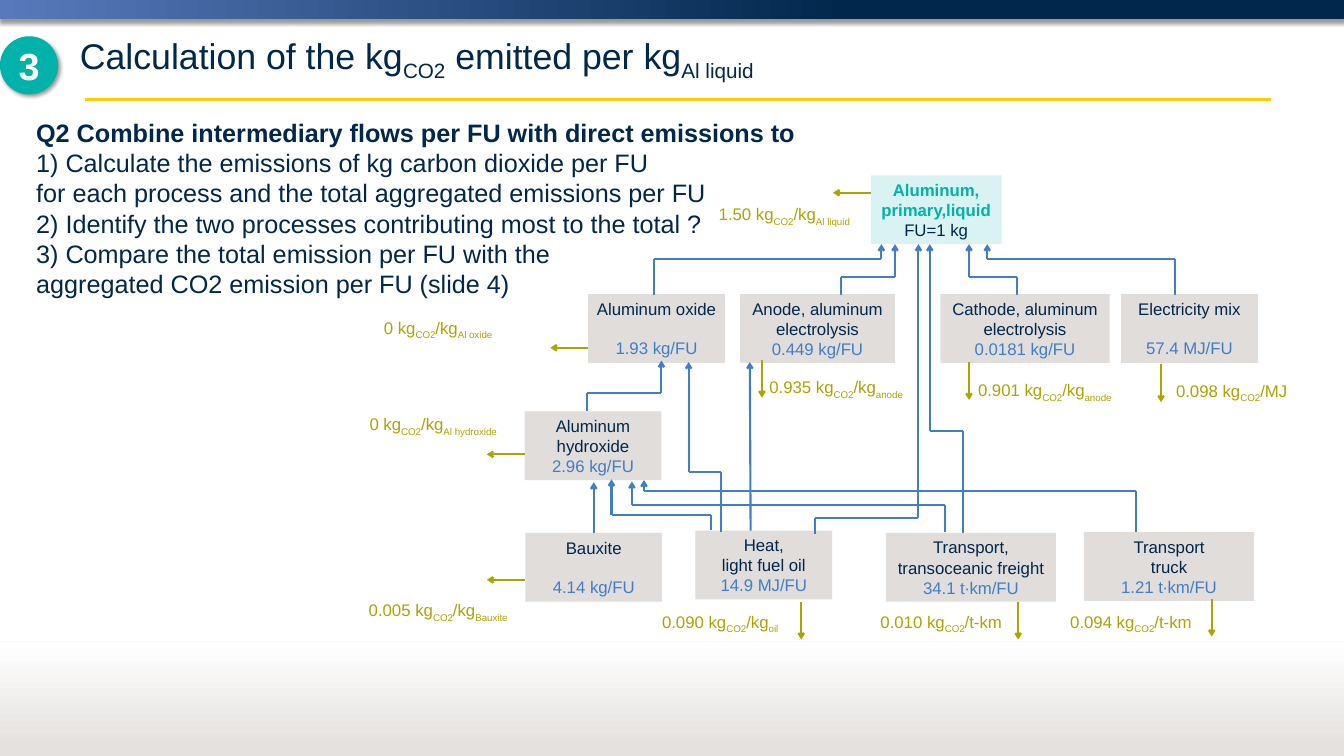
from lxml.etree import SubElement
from pptx import Presentation
from pptx.dml.color import RGBColor
from pptx.enum.shapes import MSO_CONNECTOR, MSO_SHAPE
from pptx.enum.text import MSO_ANCHOR, PP_ALIGN
from pptx.oxml.ns import qn
from pptx.util import Inches, Pt

NAVY, BLUE, TEAL, OLIVE = "00274C", "407EC9", "00B2A9", "ADA400"
GOLD, STONE, PALE, WHITE = "FFCB05", "B0A8A2", "E4E1DF", "FFFFFF"
CELL = Inches(0.1)  # every position below counts columns and rows of this grid
COLUMNS, ROWS = 177.8, 100


def paint(fill, color, opacity=100):
    fill.solid()
    fill.fore_color.rgb = RGBColor.from_string(color)
    if opacity < 100:
        solid = fill._xPr.find(qn("a:solidFill"))
        SubElement(solid[0], qn("a:alpha"), val=str(opacity * 1000))


def write(box, lines, size, align=PP_ALIGN.LEFT, **frame_format):
    """Fill a box with (text, color, bold, space before); _x_ marks a subscript."""
    frame = box.text_frame
    for name, value in frame_format.items():
        setattr(frame, name, value)
    for index, (text, color, bold, gap) in enumerate(lines):
        para = frame.add_paragraph() if index else frame.paragraphs[0]
        para.alignment = align
        if gap:
            para.space_before = Pt(gap)
        for part, words in enumerate(text.split("_")):
            if not words:
                continue
            span = para.add_run()
            span.text = words
            font_format = {"name": "Arial", "size": Pt(size), "bold": bold}
            for name, value in font_format.items():
                setattr(span.font, name, value)
            paint(span.font.fill, color)
            if part % 2:
                span._r.get_or_add_rPr().set("baseline", "-25000")


deck = Presentation()
deck.slide_width, deck.slide_height = int(COLUMNS * CELL), int(ROWS * CELL)
page = deck.slides.add_slide(deck.slide_layouts[6])

# Header and footer bands: top, height, angle, gradient stops
bands = []
for top, height, angle, stops in [
    (0, 2.5, 0, [(0, "587ABC"), (0.63, NAVY)]),
    (85, 15, 90, [(0.08, PALE), (1, WHITE)]),
]:
    band = page.shapes.add_shape(
        MSO_SHAPE.RECTANGLE, 0, int(top * CELL), deck.slide_width, int(height * CELL))
    band.shadow.inherit = False
    band.line.fill.background()
    band.fill.gradient()
    band.fill.gradient_angle = angle
    for stop, (position, color) in zip(band.fill.gradient_stops, stops):
        stop.position = position
        stop.color.rgb = RGBColor.from_string(color)
    bands.append(band)

# Title and question
title = page.shapes.add_textbox(*[int(n * CELL) for n in (9.6, 3, 160, 9.5)])
write(title, [("Calculation of the kg_CO2_ emitted per kg_Al liquid_", NAVY, False, 0)],
      34, word_wrap=True, vertical_anchor=MSO_ANCHOR.MIDDLE)

question = page.shapes.add_textbox(*[int(n * CELL) for n in (3.8, 15, 104, 25.2)])
tasks = [
    "Q2 Combine intermediary flows per FU with direct emissions to",
    "1) Calculate the emissions of kg carbon dioxide per FU",
    "for each process and the total aggregated emissions per FU",
    "2) Identify the two processes contributing most to the total ?",
    "3) Compare the total emission per FU with the",
    "aggregated CO2 emission per FU (slide 4)",
]
write(question, [(task, NAVY, row == 0, 0) for row, task in enumerate(tasks)],
      24, word_wrap=True)

# Processes: left, top, width, name lines, flow, space above the flow
BOX_HEIGHT, LINE_GAP = 9.1, 18.4
boxes = {}
for left, top, width, names, flow, gap in [
    (115.2, 23.2, 17.3, ["Aluminum, primary,liquid"], "FU=1 kg", 0),
    (77.8, 38.9, 18.1, ["Aluminum oxide"], "1.93 kg/FU", LINE_GAP),
    (97.9, 38.9, 20.5, ["Anode, aluminum electrolysis"], "0.449 kg/FU", 0),
    (124.4, 38.9, 22.4, ["Cathode, aluminum electrolysis"], "0.0181 kg/FU", 0),
    (148.3, 38.9, 18.1, ["Electricity mix"], "57.4 MJ/FU", LINE_GAP),
    (69.4, 54.4, 18.1, ["Aluminum hydroxide"], "2.96 kg/FU", 0),
    (69.5, 70.5, 18.1, ["Bauxite"], "4.14 kg/FU", LINE_GAP),
    (92, 70.2, 18.1, ["Heat,", "light fuel oil"], "14.9 MJ/FU", 0),
    (117.2, 70.5, 22.5, ["Transport, transoceanic freight"], "34.1 t∙km/FU", 0),
    (143.4, 70.4, 22.5, ["Transport", "truck"], "1.21 t∙km/FU", 0),
]:
    product = not boxes
    box = page.shapes.add_shape(
        MSO_SHAPE.RECTANGLE, *[int(n * CELL) for n in (left, top, width, BOX_HEIGHT)])
    box.shadow.inherit = False
    box.line.fill.background()
    paint(box.fill, *((TEAL, 15) if product else (STONE, 39)))
    lines = [(name, TEAL if product else NAVY, product, 0) for name in names]
    lines.append((flow, NAVY if product else BLUE, False, gap))
    write(box, lines, 16, PP_ALIGN.CENTER, word_wrap=True,
          vertical_anchor=MSO_ANCHOR.MIDDLE)
    boxes[names[0]] = box

# Emission labels: left, top, width, text
for left, top, width, text in [
    (94.1, 26.5, 20.7, "1.50 kg_CO2_/kg_Al liquid_"),
    (49.8, 41.5, 39.3, "0 kg_CO2_/kg_Al oxide_"),
    (100.8, 49.4, 20.8, "0.935 kg_CO2_/kg_anode_"),
    (128.4, 49.8, 20.8, "0.901 kg_CO2_/kg_anode_"),
    (154.6, 49.9, 17.3, "0.098 kg_CO2_/MJ"),
    (47.9, 54.3, 20.5, "0 kg_CO2_/kg_Al hydroxide_"),
    (47.8, 78.9, 22, "0.005 kg_CO2_/kg_Bauxite_"),
    (86.6, 80.4, 18.2, "0.090 kg_CO2_/kg_oil_"),
    (115.5, 80.4, 18.7, "0.010 kg_CO2_/t-km"),
    (140.6, 80.4, 18.7, "0.094 kg_CO2_/t-km"),
]:
    label = page.shapes.add_textbox(*[int(n * CELL) for n in (left, top, width, 3.7)])
    write(label, [(text, OLIVE, False, 0)], 16, word_wrap=width > 30)

# Lines: points, color, weight, opacity, arrowhead
routes = [
    ([(11.2, 13.2), (168.1, 13.2)], GOLD, 3, 100, False),
    ([(0, 84.9), (COLUMNS, 84.9)], PALE, 0.75, 30, False),
    ([(78.55, 70.5), (78.55, 63.8)], BLUE, 2, 100, True),
    ([(99.3, 70.2), (99.2, 47.9)], BLUE, 2, 100, True),
]
# Elbowed flows: start column and row, row of the crossing, end column and row
for start, foot, crossing, end, tip in [
    (155.4, 39, 34.3, 130.6, 32.3),
    (134.5, 39, 36.6, 128.2, 32.3),
    (86.5, 39, 34.3, 116.6, 32.3),
    (111.3, 39, 36.6, 118.4, 32.3),
    (127.4, 70.5, 57, 123, 32.3),
    (107.8, 70.6, 68.5, 121.5, 32.3),
    (77.7, 54.4, 52, 87.5, 47.7),
    (94.1, 70.1, 68.1, 80.9, 63.4),
    (95.4, 70.4, 62.4, 91.1, 47.9),
    (125, 70.4, 66.8, 83.6, 63.7),
    (150.3, 70.4, 65, 85.2, 63.5),
]:
    points = [(start, foot), (start, crossing), (end, crossing), (end, tip)]
    routes.append((points, BLUE, 2, 100, True))
# Direct emissions leave downwards or to the left
REACH = 5
for x, y in [(106, 79.6), (134.7, 79.6), (160.3, 79.2),
             (153.6, 48.2), (100.8, 47.6), (128.2, 47.9)]:
    routes.append(([(x, y), (x, y + REACH)], OLIVE, 2, 100, True))
for x, y in [(115.2, 25.5), (77.8, 46), (69.4, 60.1), (69.4, 76.7)]:
    routes.append(([(x, y), (x - REACH, y)], OLIVE, 2, 100, True))

connectors = []
for points, color, weight, opacity, arrow in routes:
    for start, end in zip(points, points[1:]):
        connector = page.shapes.add_connector(
            MSO_CONNECTOR.STRAIGHT, *[int(n * CELL) for n in start + end])
        connector.line.width = Pt(weight)
        paint(connector.line.fill, color, opacity)
        if arrow and end == points[-1]:
            SubElement(connector.line._ln, qn("a:tailEnd"), type="arrow")
        SubElement(connector._element.spPr, qn("a:effectLst"))
        connectors.append(connector)
connectors[2].begin_connect(boxes["Bauxite"], 0)

# Section number
badge = page.shapes.add_shape(
    MSO_SHAPE.OVAL, *[int(n * CELL) for n in (0, 4.8, 7.7, 7.7)])
badge.shadow.inherit = False
badge.line.fill.background()
paint(badge.fill, TEAL)
write(badge, [("3", WHITE, True, 0)], 36, PP_ALIGN.CENTER, word_wrap=False,
      vertical_anchor=MSO_ANCHOR.MIDDLE)

# Shadows: item, opacity, blur, distance, direction
for item, opacity, blur, distance, direction in [
    (bands[0], 40, 4, 3, 90),
    (connectors[1], 38, 3.1, 1.6, 90),
    (badge, 40, 4, 3, 45),
]:
    effects = item._element.spPr.find(qn("a:effectLst"))
    shadow = SubElement(effects, qn("a:outerShdw"), blurRad=str(Pt(blur)),
                        dist=str(Pt(distance)), dir=str(direction * 60000), rotWithShape="0")
    black = SubElement(shadow, qn("a:srgbClr"), val="000000")
    SubElement(black, qn("a:alpha"), val=str(opacity * 1000))

deck.save("out.pptx")
